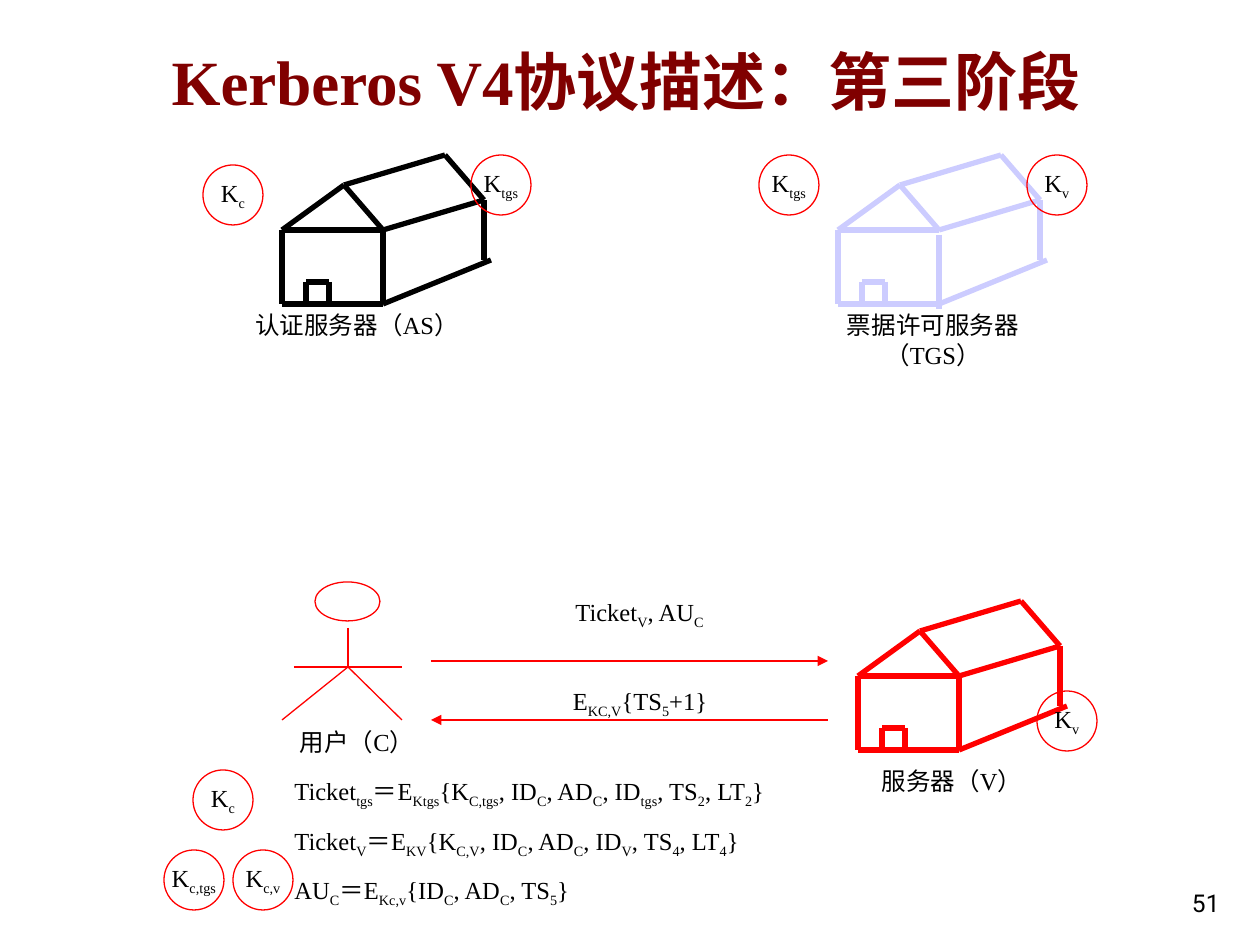
from lxml import etree
from pptx import Presentation
from pptx import util as u
from pptx.dml.color import RGBColor
from pptx.enum import shapes, text
from pptx.oxml.ns import qn

PX = 914400 / 126
RED, BLACK = "FF0000", "000000"
color = RGBColor.from_string

prs = Presentation()
prs.slide_width, prs.slide_height = u.Inches(10), u.Inches(7.5)
s = prs.slides.add_slide(prs.slide_layouts[5])


def add_line(start, end, hex_color, width):
    ends = [round(v * PX) for v in (*start, *end)]
    line = s.shapes.add_connector(shapes.MSO_CONNECTOR.STRAIGHT, *ends)
    line.line.color.rgb = color(hex_color)
    line.line.width = u.Pt(width)
    etree.SubElement(line._element.spPr, qn("a:effectLst"))
    return line


def write(tf, marked, align, size=14, font="Times New Roman", hex_color=BLACK, bold=False):
    """Fill the first paragraph; every second part between bars is a subscript."""
    p = tf.paragraphs[0]
    p.alignment = align
    for i, part in enumerate(marked.split("|")):
        r = p.add_run()
        r.text = part
        r.font.size = u.Pt(size)
        r.font.name = font
        r.font.bold = bold
        r.font.color.rgb = color(hex_color)
        if i % 2:
            r._r.get_or_add_rPr().set("baseline", "-25000")


LEFT, CENTER, RIGHT = text.PP_ALIGN.LEFT, text.PP_ALIGN.CENTER, text.PP_ALIGN.RIGHT

# Title
title = s.shapes.title
title.left, title.top, title.width, title.height = [round(v * PX) for v in (159, 29, 1074, 103)]
title.text_frame.auto_size = text.MSO_AUTO_SIZE.NONE
title.text_frame.vertical_anchor = text.MSO_ANCHOR.MIDDLE
write(title.text_frame, "Kerberos V4协议描述：第三阶段", LEFT, 36, hex_color="800000", bold=True)

# Servers drawn as houses: origin, colour, drop of the front corner wall
apex, ridge_end = (62, 30), (163, 0)
left_eave, right_eave, far_eave = (0, 75), (101, 75), (202, 45)
left_base, right_base, far_base = (0, 149), (101, 149), (209, 105)
house_edges = [
    (apex, left_eave), (apex, right_eave), (left_eave, right_eave),
    (apex, ridge_end), (ridge_end, far_eave), (right_eave, far_eave),
    (left_eave, left_base), (left_base, right_base), (right_base, far_base),
    (far_eave, (202, 105)),
    ((24, 127), (24, 149)), ((24, 127), (47, 127)), ((47, 127), (47, 149)),
]
for x, y, house_color, drop in [(838, 155, "CCCCFF", 5), (858, 601, RED, 0), (282, 155, BLACK, 0)]:
    front_wall = ((101, 75 + drop), (101, 149 + drop))
    for (x1, y1), (x2, y2) in house_edges + [front_wall]:
        add_line((x + x1, y + y1), (x + x2, y + y2), house_color, 3)

# User drawn as a stick figure
hip = (348, 667)
for start, end in [((348, 628), hip), (hip, (282, 720)), (hip, (402, 720)), ((294, 667), (402, 667))]:
    add_line(start, end, RED, 0.75)

# Messages between user and server
for y, arrow_end in [(661, "a:tailEnd"), (720, "a:headEnd")]:
    arrow = add_line((431, y), (828, y), RED, 0.75)
    etree.SubElement(arrow.line._get_or_add_ln(), qn(arrow_end), type="triangle")

# Labels, message contents and ticket definitions
for x, y, w, h, marked, align in [
    (809, 304, 248, 72, "票据许可服务器（TGS）", CENTER),
    (828, 760, 248, 43, "服务器（V）", CENTER),
    (233, 304, 248, 43, "认证服务器（AS）", CENTER),
    (233, 721, 248, 43, "用户（C）", CENTER),
    (451, 591, 377, 47, "Ticket|V|, AU|C", CENTER),
    (461, 680, 358, 47, "E|KC,V|{TS|5|+1}", CENTER),
    (282, 770, 625, 47,
     "Ticket|tgs|＝E|Ktgs|{K|C,tgs|, ID|C|, AD|C|, ID|tgs|, TS|2|, LT|2|}", LEFT),
    (282, 820, 546, 47,
     "Ticket|V|＝E|KV|{K|C,V|, ID|C|, AD|C|, ID|V|, TS|4|, LT|4|}", LEFT),
    (282, 869, 387, 47, "AU|C|＝E|Kc,v|{ID|C|, AD|C|, TS|5|}", LEFT),
]:
    tf = s.shapes.add_textbox(*[round(v * PX) for v in (x, y, w, h)]).text_frame
    tf.word_wrap = True
    write(tf, marked, align)

# User's head and the keys each party holds
for x, y, w, h, marked in [
    (315, 582, 65, 39, ""),
    (193, 770, 60, 60, "K|c"),
    (203, 165, 60, 60, "K|c"),
    (759, 155, 60, 60, "K|tgs"),
    (1037, 691, 60, 60, "K|v"),
    (471, 155, 60, 60, "K|tgs"),
    (1027, 155, 60, 60, "K|v"),
    (164, 850, 60, 60, "K|c,tgs"),
    (233, 850, 60, 60, "K|c,v"),
]:
    sp = s.shapes.add_shape(shapes.MSO_SHAPE.OVAL, *[round(v * PX) for v in (x, y, w, h)])
    sp.shadow.inherit = False
    sp.fill.background()
    sp.line.color.rgb = color(RED)
    sp.line.width = u.Pt(0.75)
    if marked:
        sp.text_frame.word_wrap = False
        sp.text_frame.vertical_anchor = text.MSO_ANCHOR.MIDDLE
        write(sp.text_frame, marked, CENTER)

# Page number
tf = s.shapes.add_textbox(*[round(v * PX) for v in (970, 861, 262, 63)]).text_frame
tf.word_wrap = True
tf.vertical_anchor = text.MSO_ANCHOR.BOTTOM
write(tf, "51", RIGHT, font="Roboto")

prs.save("out.pptx")
